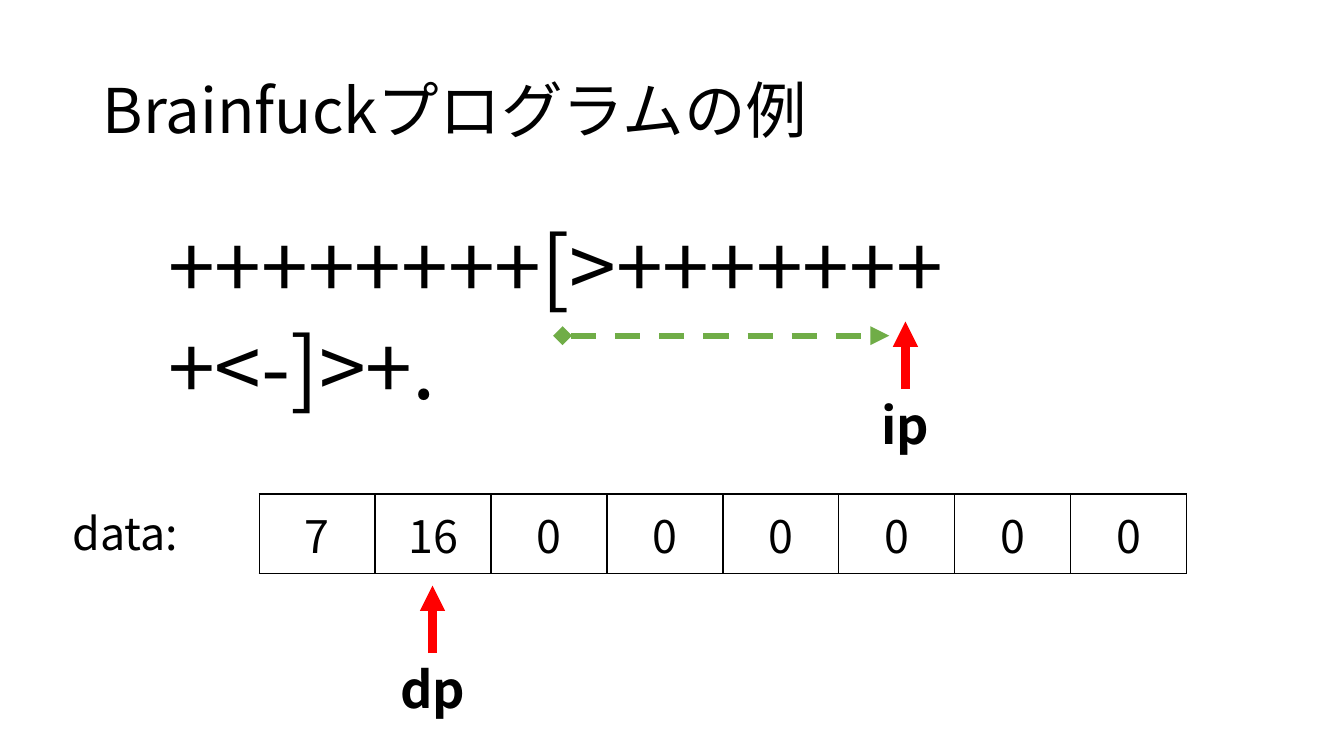
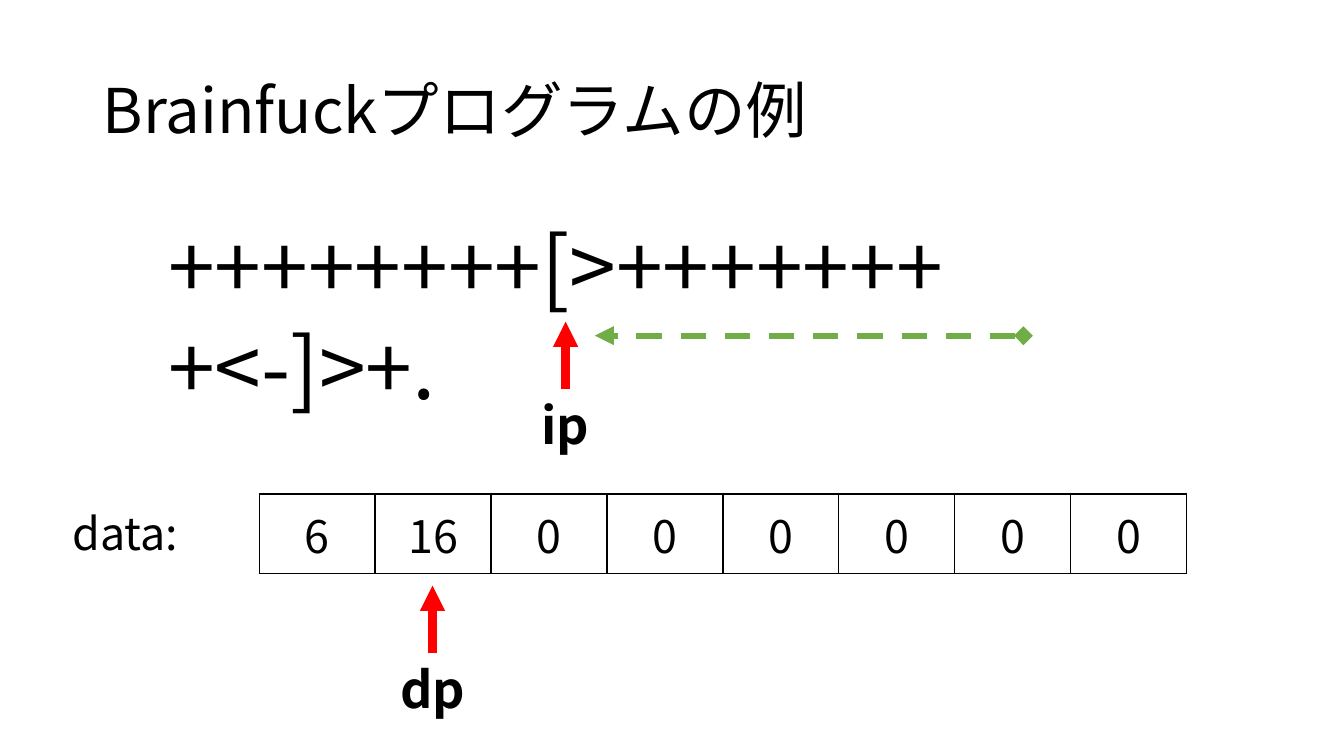
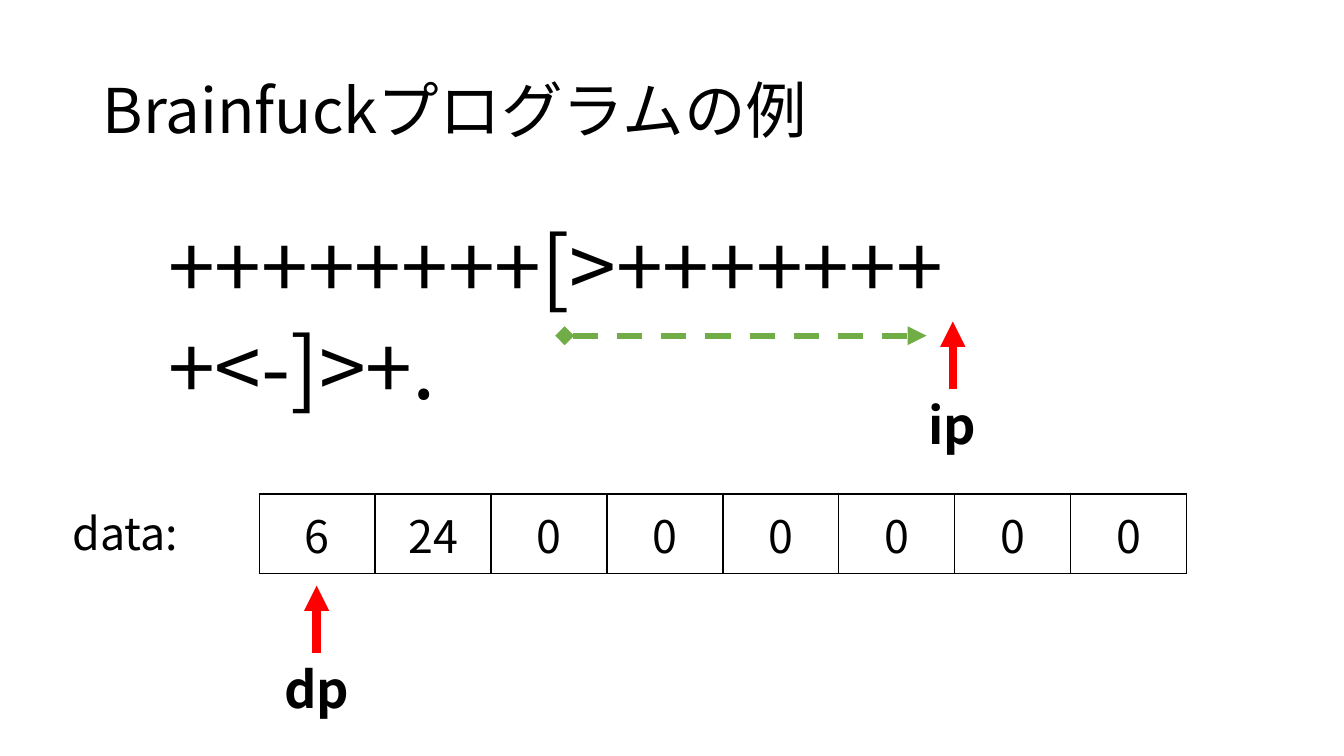
from dataclasses import dataclass

from lxml import etree
from pptx import Presentation
from pptx import util as u
from pptx.dml.color import RGBColor
from pptx.enum import dml, shapes, text
from pptx.oxml.ns import qn

TITLE = "Brainfuckプログラムの例"
CODE = "++++++++[>++++++++<-]>+."
DATA_LABEL = "data:"

# data: cell values, dp: cell index, ip: pointer x, jump: start and end x
STEPS = [
    dict(data=[7, 16, 0, 0, 0, 0, 0, 0], dp=1, ip=898, jump=(558, 882)),
    dict(data=[6, 16, 0, 0, 0, 0, 0, 0], dp=1, ip=561, jump=(1015, 590)),
    dict(data=[6, 24, 0, 0, 0, 0, 0, 0], dp=0, ip=945, jump=(560, 919)),
]

PX = 9144  # EMU; 100 px to the inch
SLIDE = (1333, 750)
TITLE_BOX = (92, 40, 1150, 145)
CODE_BOX = (157, 208, 1020, 111)
DATA_BOX = (62, 497, 152, 64)
CELLS_LEFT, CELLS_TOP, CELL_W, CELL_H = 257, 490, 115, 79
IP_TOP, DP_TOP, POINTER_H, LABEL_H = 319, 581, 67, 71
LABEL_W = {"ip": 69, "dp": 85}
JUMP_Y = 333


@dataclass(frozen=True)
class Theme:
    font: str = "Noto Sans CJK JP"
    ink: str = "000000"
    pointer: str = "FF0000"
    jump: str = "70AD47"
    title: int = 44
    code: int = 60
    data: int = 32
    label: int = 36
    pointer_line: float = 6
    jump_line: float = 4.5
    border: float = 1


T = Theme()


def px(*lengths):
    return [u.Emu(n * PX) for n in lengths]


def add_run(p, content, size, bold=False):
    r = p.add_run()
    r.text = content
    f = r.font
    f.name, f.size, f.bold = T.font, u.Pt(size), bold
    f.color.rgb = RGBColor.from_string(T.ink)
    etree.SubElement(r._r.get_or_add_rPr(), qn("a:ea"), typeface=T.font)


def add_text(parent, box, content, size, bold=False):
    tf = parent.add_textbox(*px(*box)).text_frame
    tf.word_wrap = True
    tf.auto_size = text.MSO_AUTO_SIZE.SHAPE_TO_FIT_TEXT
    add_run(tf.paragraphs[0], content, size, bold)


def add_arrow(parent, start, end, color, width, head=None, dash=None):
    """Draw a line with a triangle at its end and an optional head at its start."""
    c = parent.add_connector(shapes.MSO_CONNECTOR.STRAIGHT, *px(*start, *end))
    c.line.color.rgb = RGBColor.from_string(color)
    c.line.width = u.Pt(width)
    if dash:
        c.line.dash_style = dash
    ln = c.line._get_or_add_ln()
    if head:
        etree.SubElement(ln, qn("a:headEnd"), type=head)
    etree.SubElement(ln, qn("a:tailEnd"), type="triangle")
    etree.SubElement(c._element.spPr, qn("a:effectLst"))


def add_pointer(s, name, x, top):
    """Group an upward arrow with its name centred below."""
    parent = s.shapes.add_group_shape().shapes
    bottom, w = top + POINTER_H, LABEL_W[name]
    add_arrow(parent, (x, bottom), (x, top), T.pointer, T.pointer_line)
    add_text(parent, (x - w // 2, bottom, w, LABEL_H), name, T.label, True)


def add_title(s):
    sp = s.shapes.title
    sp.left, sp.top, sp.width, sp.height = px(*TITLE_BOX)
    tf = sp.text_frame
    tf.auto_size = text.MSO_AUTO_SIZE.NONE
    tf.vertical_anchor = text.MSO_ANCHOR.MIDDLE
    p = tf.paragraphs[0]
    p.alignment, p.line_spacing = text.PP_ALIGN.LEFT, 0.9
    add_run(p, TITLE, T.title)


def add_borders(cell):
    tcPr = cell._tc.get_or_add_tcPr()
    for side in ("lnL", "lnR", "lnT", "lnB"):
        ln = etree.SubElement(tcPr, qn(f"a:{side}"), w=str(u.Pt(T.border)))
        fill = etree.SubElement(ln, qn("a:solidFill"))
        etree.SubElement(fill, qn("a:srgbClr"), val=T.ink)


def add_cells(s, values):
    box = px(CELLS_LEFT, CELLS_TOP, CELL_W * len(values), CELL_H)
    table = s.shapes.add_table(1, len(values), *box).table
    table.first_row = table.horz_banding = False
    for cell, value in zip(table.iter_cells(), values):
        add_borders(cell)
        cell.fill.background()
        cell.vertical_anchor = text.MSO_ANCHOR.MIDDLE
        p = cell.text_frame.paragraphs[0]
        p.alignment = text.PP_ALIGN.CENTER
        add_run(p, str(value), T.data)


def add_step(prs, step):
    s = prs.slides.add_slide(prs.slide_layouts[5])
    add_title(s)
    add_cells(s, step["data"])
    add_text(s.shapes, CODE_BOX, CODE, T.code)
    add_text(s.shapes, DATA_BOX, DATA_LABEL, T.data)
    dp_x = CELLS_LEFT + CELL_W * step["dp"] + CELL_W // 2
    add_pointer(s, "dp", dp_x, DP_TOP)
    add_pointer(s, "ip", step["ip"], IP_TOP)
    start, end = step["jump"]
    add_arrow(s.shapes, (start, JUMP_Y), (end, JUMP_Y), T.jump, T.jump_line,
              head="diamond", dash=dml.MSO_LINE.DASH)


def main():
    prs = Presentation()
    prs.slide_width, prs.slide_height = px(*SLIDE)
    for step in STEPS:
        add_step(prs, step)
    prs.save("out.pptx")


if __name__ == "__main__":
    main()
